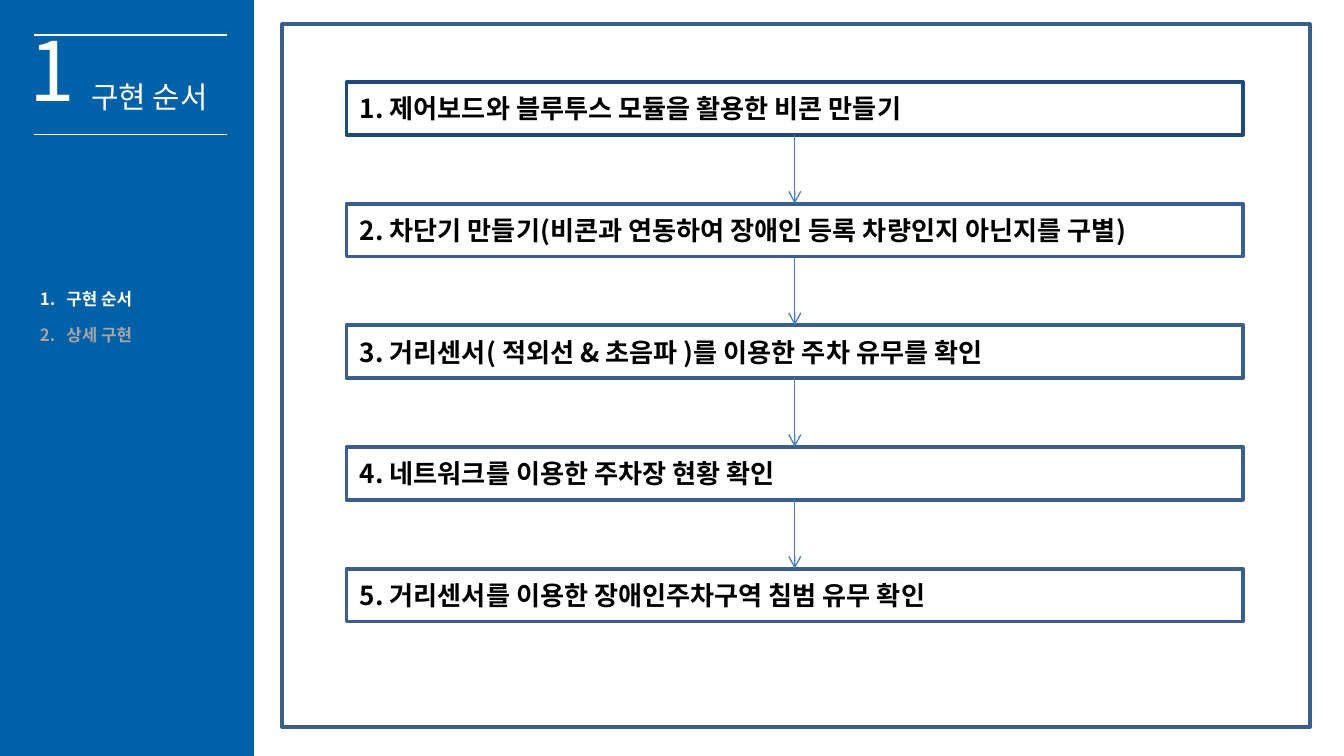
from lxml import etree
from pptx import Presentation
from pptx.dml.color import RGBColor
from pptx.enum.shapes import MSO_CONNECTOR, MSO_SHAPE
from pptx.enum.text import MSO_ANCHOR, MSO_AUTO_SIZE, PP_ALIGN
from pptx.oxml.ns import qn
from pptx.util import Cm, Pt

FONT = "Noto Sans CJK KR"


def rgb(value):
    return RGBColor.from_string(value)


def style(paragraph, size, color, bold=False):
    paragraph.alignment = PP_ALIGN.LEFT
    font = paragraph.font
    font.name, font.size, font.bold = FONT, Pt(size), bold
    font.color.rgb = rgb(color)
    east_asian = etree.SubElement(paragraph._p.pPr.find(qn("a:defRPr")), qn("a:ea"))
    east_asian.set("typeface", FONT)


prs = Presentation()
prs.slide_width, prs.slide_height = Cm(25.4), Cm(14.29)
slide = prs.slides.add_slide(prs.slide_layouts[1])
shapes = slide.shapes

sidebar = shapes.add_shape(MSO_SHAPE.RECTANGLE, 0, 0, Cm(4.8), prs.slide_height)
sidebar.shadow.inherit = False
sidebar.fill.solid()
sidebar.fill.fore_color.rgb = rgb("0060A8")
sidebar.line.fill.background()
shapes._spTree.insert(2, sidebar._element)

heading = shapes.title
heading.left, heading.top, heading.width, heading.height = Cm(1.47), Cm(1.35), Cm(3.12), Cm(0.94)
heading.text_frame.text = "구현 순서"
heading.text_frame.auto_size = MSO_AUTO_SIZE.NONE
heading.text_frame.vertical_anchor = MSO_ANCHOR.MIDDLE
style(heading.text_frame.paragraphs[0], 16, "FFFFFF")

contents = slide.placeholders[1]
contents.left, contents.top, contents.width, contents.height = Cm(0.5), Cm(5.33), Cm(4), Cm(2.18)
contents.text_frame.text = "구현 순서\n상세 구현"
contents.text_frame.auto_size = MSO_AUTO_SIZE.NONE
for entry, color, gap in zip(contents.text_frame.paragraphs, ("FFFFFF", "A6A6A6"), (0, 8.4)):
    properties = entry._p.get_or_add_pPr()
    properties.set("marL", str(Cm(0.5)))
    properties.set("indent", str(-Cm(0.5)))
    entry.space_before = Pt(gap)
    etree.SubElement(properties, qn("a:buFont")).set("typeface", FONT)
    etree.SubElement(properties, qn("a:buAutoNum")).set("type", "arabicPeriod")
    style(entry, 9, color, True)

chapter = shapes.add_textbox(Cm(0.3), Cm(0.46), Cm(1.6), Cm(2.13)).text_frame
chapter.word_wrap = True
chapter.text = "1"
chapter.paragraphs[0].line_spacing = 0.9
style(chapter.paragraphs[0], 44, "FFFFFF")

frame = shapes.add_shape(MSO_SHAPE.RECTANGLE, Cm(5.33), Cm(0.46), Cm(19.43), Cm(13.28))
frame.shadow.inherit = False
frame.fill.background()
frame.line.color.rgb = rgb("3A5F8C")
frame.line.width = Pt(2)

steps = [
    "1. 제어보드와 블루투스 모듈을 활용한 비콘 만들기",
    "2. 차단기 만들기(비콘과 연동하여 장애인 등록 차량인지 아닌지를 구별)",
    "3. 거리센서( 적외선 & 초음파 )를 이용한 주차 유무를 확인",
    "4. 네트워크를 이용한 주차장 현황 확인",
    "5. 거리센서를 이용한 장애인주차구역 침범 유무 확인",
]
left, first_top, width, height, pitch = 6.55, 1.55, 16.94, 1, 2.3
center = left + width / 2
rules = [(0.64, y, 4.29, y, "FFFFFF", False) for y in (0.66, 2.54)]
arrows = []
for index, step in enumerate(steps):
    top = first_top + index * pitch
    box = shapes.add_shape(MSO_SHAPE.RECTANGLE, Cm(left), Cm(top), Cm(width), Cm(height))
    box.shadow.inherit = False
    box.fill.background()
    box.line.color.rgb = rgb("3A5F8C" if index else "1F497D")
    box.line.width = Pt(2)
    box.text_frame.text = step
    box.text_frame.vertical_anchor = MSO_ANCHOR.MIDDLE
    style(box.text_frame.paragraphs[0], 14, "000000", True)
    if index:
        arrows.append((center, top - pitch + height, center, top, "4B7EBC", True))

for x1, y1, x2, y2, color, pointed in rules + arrows:
    line = shapes.add_connector(MSO_CONNECTOR.STRAIGHT, Cm(x1), Cm(y1), Cm(x2), Cm(y2))
    line.line.color.rgb = rgb(color)
    line.line.width = Pt(0.75)
    if pointed:
        etree.SubElement(line.line._get_or_add_ln(), qn("a:tailEnd")).set("type", "arrow")
    etree.SubElement(line._element.spPr, qn("a:effectLst"))

prs.save("out.pptx")
